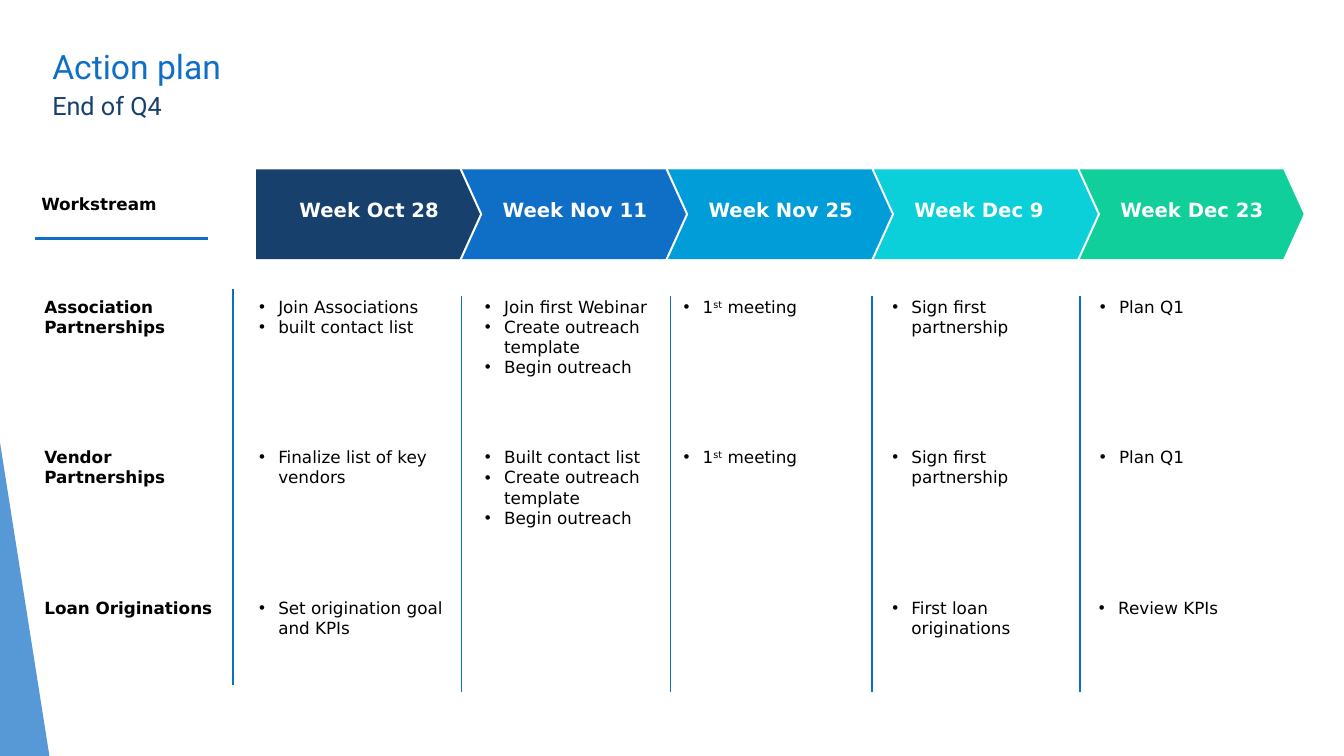
from lxml.etree import SubElement
from pptx import Presentation
from pptx.dml.color import RGBColor
from pptx.enum.shapes import MSO_CONNECTOR, MSO_SHAPE
from pptx.enum.text import MSO_ANCHOR, PP_ALIGN
from pptx.oxml.ns import qn
from pptx.util import Inches, Pt

NAVY = RGBColor(0x17, 0x40, 0x6D)
BLUE = RGBColor(0x0F, 0x6F, 0xC6)
SKY = RGBColor(0x00, 0x9D, 0xD9)
CYAN = RGBColor(0x0B, 0xD0, 0xD9)
GREEN = RGBColor(0x10, 0xCF, 0x9B)
WHITE = RGBColor(0xFF, 0xFF, 0xFF)
BLACK = RGBColor(0x00, 0x00, 0x00)
HEADING_FONT = "Roboto"
BODY_FONT = "DejaVu Sans"

WEEKS = [
    ("Week Oct 28", NAVY),
    ("Week Nov 11", BLUE),
    ("Week Nov 25", SKY),
    ("Week Dec 9", CYAN),
    ("Week Dec 23", GREEN),
]
# Text between carets is raised
WORKSTREAMS = [
    ("Association Partnerships", [
        ["Join Associations", "built contact list"],
        ["Join first Webinar", "Create outreach template", "Begin outreach"],
        ["1^st^ meeting"], ["Sign first partnership"], ["Plan Q1"]]),
    ("Vendor Partnerships", [
        ["Finalize list of key vendors"],
        ["Built contact list", "Create outreach template", "Begin outreach"],
        ["1^st^ meeting"], ["Sign first partnership"], ["Plan Q1"]]),
    ("Loan Originations", [
        ["Set origination goal and KPIs"], [], [],
        ["First loan originations"], ["Review KPIs"]]),
]
# Left and width of each week's text, relative to the grid
WEEK_COLUMNS = [(2.13, 2.04), (4.37, 1.78), (6.34, 1.87), (8.41, 1.87), (10.47, 2.03)]
# Left and top of each divider, relative to the grid
DIVIDERS = [(1.87, -0.07), (4.14, 0), (6.21, 0), (8.21, 0), (10.27, 0)]


def add_bullet(para):
    props = para._p.get_or_add_pPr()
    props.set("marL", str(Inches(0.19)))
    props.set("indent", str(-Inches(0.19)))
    SubElement(props, qn("a:buFont")).set("typeface", "Arial")
    SubElement(props, qn("a:buChar")).set("char", "•")


def write_text(shape, lines, size=12, font=BODY_FONT, color=BLACK, bold=False,
               bullet=False, align=PP_ALIGN.LEFT, anchor=MSO_ANCHOR.TOP,
               insets=(0, 0, 0, 0), spacing=None):
    frame = shape.text_frame
    frame.word_wrap = True
    frame.vertical_anchor = anchor
    (frame.margin_left, frame.margin_top,
     frame.margin_right, frame.margin_bottom) = map(Inches, insets)
    for index, line in enumerate(lines):
        para = frame.add_paragraph() if index else frame.paragraphs[0]
        para.alignment = align
        if spacing:
            para.line_spacing = spacing
        if bullet:
            add_bullet(para)
        for part, text in enumerate(line.split("^")):
            span = para.add_run()
            span.text = text
            span.font.size = Pt(size)
            span.font.name = font
            span.font.bold = bold
            span.font.color.rgb = color
            if part % 2:
                span._r.get_or_add_rPr().set("baseline", "30000")


def add_text(slide, left, top, width, height, lines, **style):
    box = slide.shapes.add_textbox(*map(Inches, (left, top, width, height)))
    write_text(box, lines, **style)


def add_filled(slide, kind, left, top, width, height, color, adjust):
    shape = slide.shapes.add_shape(kind, *map(Inches, (left, top, width, height)))
    shape.adjustments[0] = adjust
    shape.shadow.inherit = False
    shape.fill.solid()
    shape.fill.fore_color.rgb = color
    shape.line.fill.background()
    return shape


def add_line(slide, x1, y1, x2, y2, weight):
    line = slide.shapes.add_connector(
        MSO_CONNECTOR.STRAIGHT, *map(Inches, (x1, y1, x2, y2)))
    line.line.color.rgb = BLUE
    line.line.width = Pt(weight)
    SubElement(line._element.spPr, qn("a:effectLst"))


def add_corner(slide, left, top, width, height):
    corner = add_filled(slide, MSO_SHAPE.ISOSCELES_TRIANGLE,
                        left, top, width, height, BLUE, 0)
    tint = corner._element.spPr.find(qn("a:solidFill"))[0]
    SubElement(tint, qn("a:alpha")).set("val", "70000")


def add_heading(slide, left, top, width):
    style = dict(font=HEADING_FONT, insets=(0.1, 0.05, 0.1, 0.05), spacing=0.9)
    add_text(slide, left, top, width, 0.53, ["Action plan"], size=24, color=BLUE,
             anchor=MSO_ANCHOR.MIDDLE, **style)
    add_text(slide, left, top + 0.46, width, 0.63, ["End of Q4"], size=18,
             color=NAVY, **style)


def add_week_band(slide, left, top, width, height):
    arrow_width = 2.22
    step = (width - arrow_width) / (len(WEEKS) - 1)
    for index, (week, color) in enumerate(WEEKS):
        kind = MSO_SHAPE.CHEVRON if index else MSO_SHAPE.PENTAGON
        arrow = add_filled(slide, kind, left + index * step, top,
                           arrow_width, height, color, 0.227)
        write_text(arrow, [week], size=14, color=WHITE, bold=True,
                   align=PP_ALIGN.JUSTIFY,
                   insets=(0.2 if index else 0.43, 0.28, 0, 0))


def add_workstream_header(slide, left, top, width):
    add_text(slide, left + 0.06, top, 1.87, 0.45, ["Workstream"], bold=True)
    add_line(slide, left, top + 0.45, left + width, top + 0.45, 2.25)


def add_plan_grid(slide, left, top, height):
    row_step = 2.99 / 2
    for row, (name, cells) in enumerate(WORKSTREAMS):
        row_top = top + row * row_step
        add_text(slide, left, row_top, 1.87, 0.63, [name], bold=True)
        for (offset, width), tasks in zip(WEEK_COLUMNS, cells):
            if tasks:
                # The last review sits slightly left of its column
                nudge = 0.01 if tasks == ["Review KPIs"] else 0
                add_text(slide, left + offset - nudge, row_top, width,
                         0.2 * len(tasks), tasks, bullet=True)
    for offset, shift in DIVIDERS:
        add_line(slide, left + offset, top + shift,
                 left + offset, top + shift + height, 1)


def main():
    deck = Presentation()
    deck.slide_width = Inches(13.33)
    deck.slide_height = Inches(7.5)
    slide = deck.slides.add_slide(deck.slide_layouts[6])
    add_corner(slide, 0, 4.39, 0.49, 3.11)
    add_week_band(slide, 2.54, 1.68, 10.39, 0.89)
    add_heading(slide, 0.42, 0.42, 12.49)
    add_workstream_header(slide, 0.35, 1.92, 1.71)
    add_plan_grid(slide, 0.44, 2.94, 3.93)
    deck.save("out.pptx")


if __name__ == "__main__":
    main()
